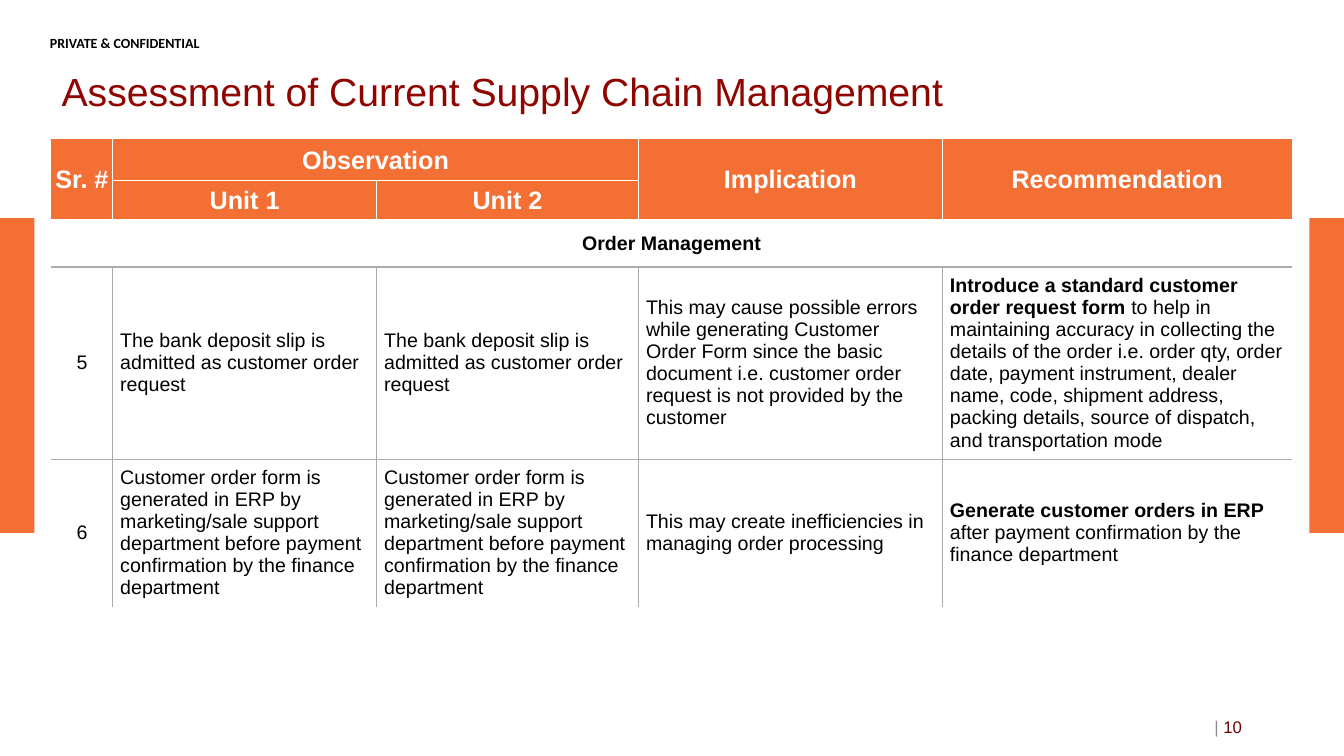
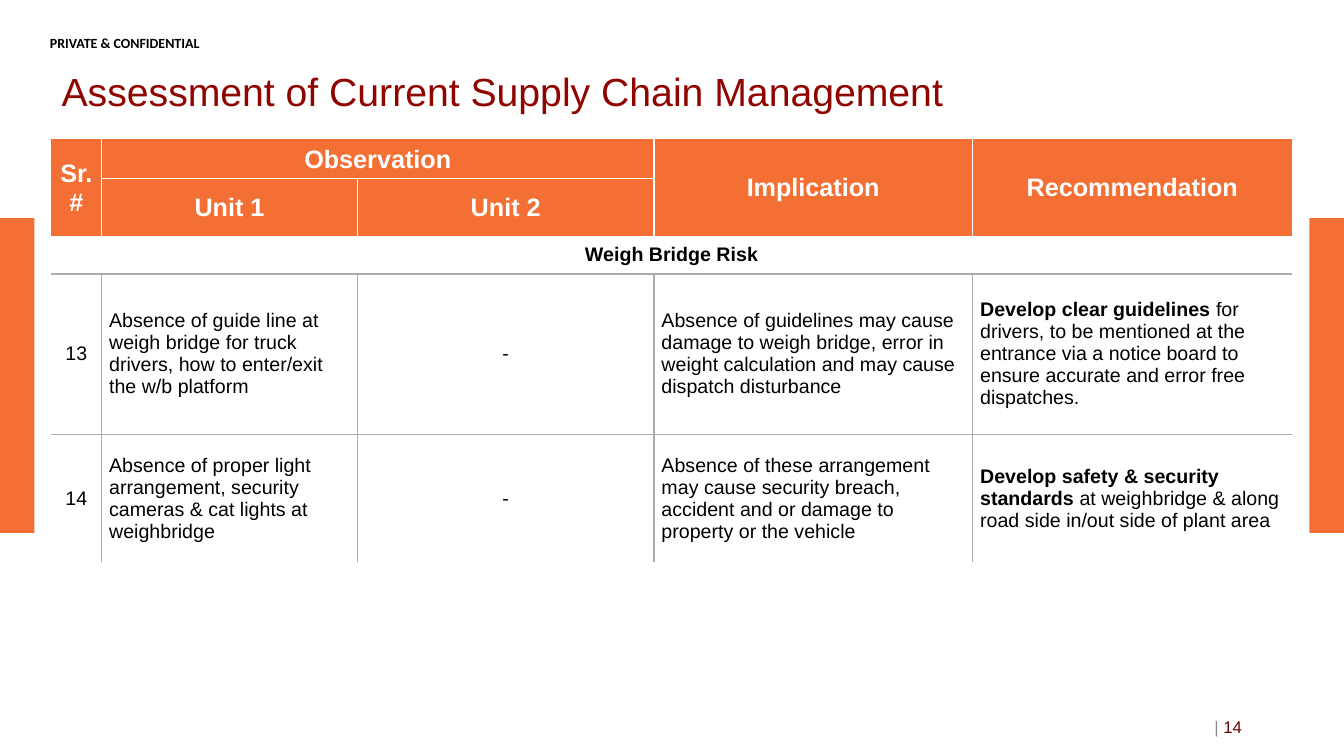
from lxml import etree
from pptx import Presentation
from pptx.dml.color import RGBColor as Rgb
from pptx.enum.shapes import MSO_SHAPE as Shape
from pptx.enum.text import MSO_ANCHOR as Anchor, MSO_AUTO_SIZE as Fit, PP_ALIGN as Align
from pptx.oxml.ns import qn
from pptx.util import Cm, Pt

HUES = {
    "band": "F46F33", "head": "F36F33", "title": "8F0500", "page": "6A0500",
    "bar": "8C8C8C", "rule": "AFABAB", "white": "FFFFFF", "black": "000000",
}
FONT = "Arial"
WIDTH, HEIGHT = 33.87, 19.05
TITLE = "Assessment of Current Supply Chain Management"
PLAIN = "{2D5ABB26-0587-4C30-8999-92F81FD0307C}"  # table style without grid
SLIP = "The bank deposit slip is admitted as customer order request"
FORM = ("Customer order form is generated in ERP by marketing/sale support "
        "department before payment confirmation by the finance department")

PAGES = [
    {
        "page": "10",
        "cols": [1.55, 6.65, 6.6, 7.66, 8.81],
        "rows": [1.05, 0.98, 1.2, 4.84, 3.72],
        "topic": "Order Management",
        "items": [
            ["5", SLIP, SLIP,
             "This may cause possible errors while generating Customer Order Form since "
             "the basic document i.e. customer order request is not provided by the customer",
             ("Introduce a standard customer order request form ",
              "to help in maintaining accuracy in collecting the details of the order "
              "i.e. order qty, order date, payment instrument, dealer name, code, shipment "
              "address, packing details, source of dispatch, and transportation mode")],
            ["6", FORM, FORM,
             "This may create inefficiencies in managing order processing",
             ("Generate customer orders in ERP ",
              "after payment confirmation by the finance department")],
        ],
    },
    {
        "page": "14",
        "cols": [1.27, 6.45, 7.47, 8.03, 8.05],
        "rows": [1, 1.43, 0.95, 4.04, 3.23],
        "topic": "Weigh Bridge Risk",
        "items": [
            ["13",
             "Absence of guide line at weigh bridge for truck drivers, how to enter/exit "
             "the w/b platform",
             "-",
             "Absence of guidelines may cause damage to weigh bridge, error in weight "
             "calculation and may cause dispatch disturbance",
             ("Develop clear guidelines",
              " for drivers, to be mentioned at the entrance via a notice board to ensure "
              "accurate and error free dispatches.")],
            ["14",
             "Absence of proper light arrangement, security cameras & cat lights at "
             "weighbridge",
             "-",
             "Absence of these arrangement may cause security breach, accident and or "
             "damage to property or the vehicle",
             ("Develop safety & security standards ",
              "at weighbridge & along road side in/out side of plant area")],
        ],
    },
]


def color(name):
    return Rgb.from_string(HUES[name])


def style(run, size, hue, bold=False, font=FONT):
    run.font.name = font
    run.font.size = Pt(size)
    run.font.bold = bold
    run.font.color.rgb = color(hue)


def add_band(slide, left):
    band = slide.shapes.add_shape(Shape.RECTANGLE, Cm(left), Cm(5.5), Cm(0.87), Cm(7.93))
    band.shadow.inherit = False
    band.fill.solid()
    band.fill.fore_color.rgb = color("band")
    band.line.fill.background()
    return band


def add_label(slide):
    box = slide.shapes.add_textbox(Cm(1.26), Cm(0.86), Cm(6.43), Cm(0.3))
    frame = box.text_frame
    frame.word_wrap = True
    frame.margin_left = frame.margin_right = frame.margin_top = frame.margin_bottom = 0
    frame.text = "PRIVATE & CONFIDENTIAL"
    style(frame.paragraphs[0].runs[0], 10, "black", True, "Calibri")
    return box


def share(slide):
    """Move the bands and the label to the layout, so every slide shows them."""
    tree = slide.slide_layout.shapes.element
    for shape in (add_band(slide, 0), add_band(slide, WIDTH - 0.87), add_label(slide)):
        tree.append(shape.element)


def set_title(slide):
    title = slide.shapes.title
    title.left, title.top, title.width, title.height = Cm(1.3), Cm(1.47), Cm(27.58), Cm(1.8)
    frame = title.text_frame
    frame.text = TITLE
    frame.auto_size = Fit.NONE
    frame.vertical_anchor = Anchor.MIDDLE
    para = frame.paragraphs[0]
    para.alignment = Align.LEFT
    para.line_spacing = 0.9
    style(para.runs[0], 28, "title")


def add_page(slide, page):
    box = slide.shapes.add_textbox(Cm(23.93), Cm(17.8), Cm(7.62), Cm(1.02))
    frame = box.text_frame
    frame.word_wrap = True
    frame.vertical_anchor = Anchor.MIDDLE
    para = frame.paragraphs[0]
    para.alignment = Align.RIGHT
    for text, hue in (("| ", "bar"), (page, "page")):
        run = para.add_run()
        run.text = text
        style(run, 12, hue)


def add_edge(cell, side, hue):
    props = cell._tc.get_or_add_tcPr()
    line = etree.SubElement(props, qn(f"a:ln{side}"), w=str(Pt(1)))
    if hue:
        fill = etree.SubElement(line, qn("a:solidFill"))
        etree.SubElement(fill, qn("a:srgbClr"), val=HUES[hue])
    else:
        etree.SubElement(line, qn("a:noFill"))


def set_edges(cell, row, col, last_row, last_col):
    """Rule the inner edges only: white in the head, grey below it."""
    side = {0: "white", 1: "white", 2: None}.get(row, "rule")
    add_edge(cell, "L", side if col > 0 else None)
    add_edge(cell, "R", side if col < last_col else None)
    add_edge(cell, "T", ("white" if row < 3 else "rule") if row > 0 else None)
    add_edge(cell, "B", ("white" if row < 2 else "rule") if row < last_row else None)


def fill_cell(cell, value, row, col):
    """Write a string, or a pair of bold lead and plain rest."""
    head = row < 2
    inset = Cm(0.03 if head else 0.19)
    cell.margin_left = cell.margin_right = cell.margin_top = inset
    cell.margin_bottom = 0 if head else inset
    cell.vertical_anchor = Anchor.MIDDLE
    if head:
        cell.fill.solid()
        cell.fill.fore_color.rgb = color("head")
    else:
        cell.fill.background()
    para = cell.text_frame.paragraphs[0]
    mid = row < 3 or col == 0 or value == "-"
    para.alignment = Align.CENTER if mid else Align.LEFT
    parts = value if isinstance(value, tuple) else (value,)
    for spot, text in enumerate(parts):
        run = para.add_run()
        run.text = text
        bold = row < 3 or (len(parts) > 1 and spot == 0)
        style(run, 18 if head else 14, "white" if head else "black", bold)


def add_grid(slide, data):
    cols, rows = data["cols"], data["rows"]
    texts = [
        ["Sr. #", "Observation", "", "Implication", "Recommendation"],
        ["", "Unit 1", "Unit 2", "", ""],
        [data["topic"], "", "", "", ""],
        *data["items"],
    ]
    grid = slide.shapes.add_table(len(rows), len(cols), Cm(1.29), Cm(3.5),
                                  Cm(sum(cols)), Cm(sum(rows))).table
    grid._tbl.tblPr.find(qn("a:tableStyleId")).text = PLAIN
    grid.first_row = grid.horz_banding = False
    for col, size in zip(grid.columns, cols):
        col.width = Cm(size)
    for row, size in zip(grid.rows, rows):
        row.height = Cm(size)
    for col in (0, 3, 4):
        grid.cell(0, col).merge(grid.cell(1, col))
    grid.cell(0, 1).merge(grid.cell(0, 2))
    grid.cell(2, 0).merge(grid.cell(2, 4))
    for row, line in enumerate(texts):
        for col, value in enumerate(line):
            cell = grid.cell(row, col)
            if not cell.is_spanned:
                set_edges(cell, row, col, len(rows) - 1, len(cols) - 1)
                fill_cell(cell, value, row, col)


def main():
    deck = Presentation()
    deck.slide_width, deck.slide_height = Cm(WIDTH), Cm(HEIGHT)
    layout = deck.slide_layouts.get_by_name("Title Only")
    for spot, data in enumerate(PAGES):
        slide = deck.slides.add_slide(layout)
        if spot == 0:
            share(slide)
        set_title(slide)
        add_grid(slide, data)
        add_page(slide, data["page"])
    deck.save("out.pptx")


if __name__ == "__main__":
    main()
